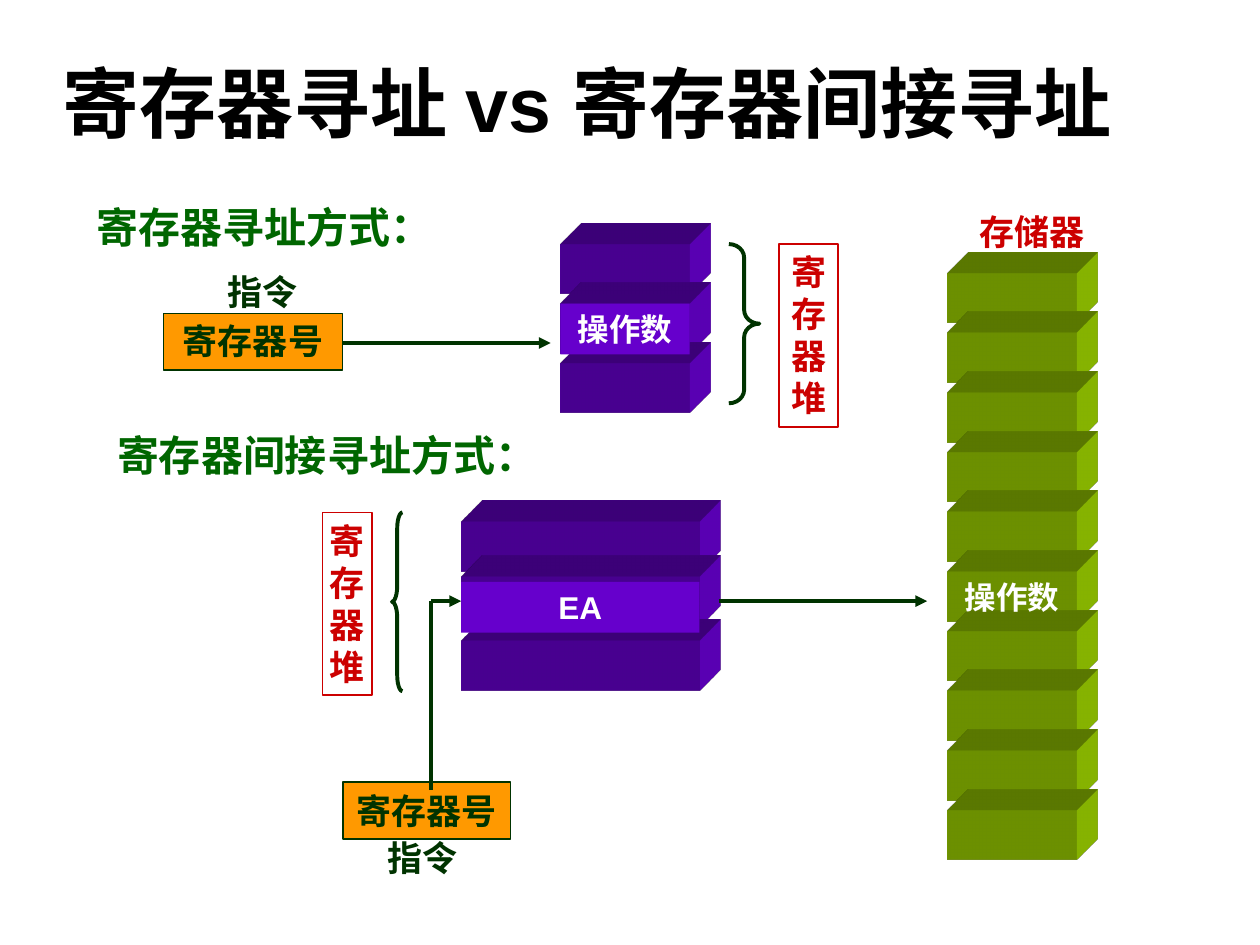
from dataclasses import dataclass

from lxml.etree import SubElement
from pptx import Presentation
from pptx.dml.color import RGBColor
from pptx.enum.shapes import MSO_CONNECTOR, MSO_SHAPE
from pptx.enum.text import MSO_ANCHOR, MSO_AUTO_SIZE, PP_ALIGN
from pptx.oxml.ns import qn
from pptx.util import Pt


@dataclass(frozen=True)
class Theme:
    font: str = "Arial"
    title_lead_font: str = "Times New Roman"
    title: str = "000000"
    ink: str = "003300"
    heading: str = "006600"
    accent: str = "CC0000"
    instruction: str = "FF9900"
    white: str = "FFFFFF"
    register: str = "6600CC"
    memory: str = "99CC00"
    title_size: int = 44
    title_lead_size: int = 42
    heading_size: int = 24
    label_size: int = 20
    cell_size: int = 18
    thin: float = 1
    thick: float = 2.25


THEME = Theme()
CELL_HEIGHT = 28.4
CELL_WIDTH = 73.8


def style_run(run, size, color, font=THEME.font):
    run.font.name = font
    run.font.size = Pt(size)
    run.font.bold = True
    run.font.color.rgb = RGBColor.from_string(color)


def style_shape(shape, fill=None, line=None, line_width=THEME.thin):
    shape.shadow.inherit = False
    if fill:
        shape.fill.solid()
        shape.fill.fore_color.rgb = RGBColor.from_string(fill)
    else:
        shape.fill.background()
    if line:
        shape.line.color.rgb = RGBColor.from_string(line)
        shape.line.width = Pt(line_width)
    else:
        shape.line.fill.background()


def add_box(slide, box, text="", size=THEME.label_size, color=THEME.ink, fill=None,
            line=None, align=PP_ALIGN.CENTER, anchor=MSO_ANCHOR.TOP, side_margin=7.2):
    lengths = [Pt(value) for value in box]
    if fill or line:
        shape = slide.shapes.add_shape(MSO_SHAPE.RECTANGLE, *lengths)
        style_shape(shape, fill, line)
    else:
        shape = slide.shapes.add_textbox(*lengths)
    frame = shape.text_frame
    frame.word_wrap = True
    frame.vertical_anchor = anchor
    frame.margin_left = frame.margin_right = Pt(side_margin)
    frame.text = text
    frame.paragraphs[0].alignment = align
    for run in frame.paragraphs[0].runs:
        style_run(run, size, color)


def add_line(slide, start, end, arrow=True):
    connector = slide.shapes.add_connector(
        MSO_CONNECTOR.STRAIGHT, *[Pt(value) for value in (*start, *end)])
    connector.line.color.rgb = RGBColor.from_string(THEME.ink)
    connector.line.width = Pt(THEME.thick)
    if arrow:
        SubElement(connector.line._get_or_add_ln(), qn("a:tailEnd"), type="triangle")
    SubElement(connector._element.spPr, qn("a:effectLst"))


def add_brace(slide, kind, box, curve):
    brace = slide.shapes.add_shape(kind, *[Pt(value) for value in box])
    style_shape(brace, line=THEME.ink, line_width=THEME.thick)
    brace.adjustments[0] = curve
    brace.adjustments[1] = 0.5


def extrude(shape, color):
    """Give a flat shape depth towards the top right."""
    properties = shape._element.spPr
    scene = SubElement(properties, qn("a:scene3d"))
    SubElement(scene, qn("a:camera"), prst="legacyObliqueTopRight")
    SubElement(scene, qn("a:lightRig"), rig="legacyFlat3", dir="b")
    solid = SubElement(properties, qn("a:sp3d"), extrusionH="430200",
                       prstMaterial="legacyMatte")
    for bevel in ("a:bevelT", "a:bevelB"):
        SubElement(solid, qn(bevel), w="13500", h="13500", prst="angle")
    side = SubElement(solid, qn("a:extrusionClr"))
    SubElement(side, qn("a:srgbClr"), val=color)


def add_stack(slide, left, tops, width, color):
    for top in tops:
        block = slide.shapes.add_shape(
            MSO_SHAPE.RECTANGLE, Pt(left), Pt(top), Pt(width), Pt(CELL_HEIGHT))
        style_shape(block, color)
        extrude(block, color)


def add_title(slide, box):
    title = slide.shapes.title
    title.left, title.top, title.width, title.height = [Pt(value) for value in box]
    frame = title.text_frame
    frame.word_wrap = True
    frame.auto_size = MSO_AUTO_SIZE.NONE
    frame.vertical_anchor = MSO_ANCHOR.MIDDLE
    paragraph = frame.paragraphs[0]
    paragraph.alignment = PP_ALIGN.CENTER
    lead, heading = paragraph.add_run(), paragraph.add_run()
    lead.text, heading.text = " ", "寄存器寻址 vs 寄存器间接寻址"
    style_run(lead, THEME.title_lead_size, THEME.title, THEME.title_lead_font)
    style_run(heading, THEME.title_size, THEME.title)


def add_direct_mode(slide, left, top):
    """Register addressing: the instruction points at the operand."""
    add_box(slide, (left + 45.5, top + 67.7, 102.2, 32.4), "寄存器号",
            fill=THEME.instruction, line=THEME.ink)
    add_box(slide, (left + 62.3, top + 39.6, 79, 31), "指令")
    # Register file
    stack_left, stack_top = left + 272.3, top + 28
    add_stack(slide, stack_left, [stack_top + 34 * row for row in range(3)],
              CELL_WIDTH, THEME.register)
    add_box(slide, (stack_left, stack_top + 34, CELL_WIDTH, 29), "操作数",
            THEME.cell_size, THEME.white, THEME.register)
    add_line(slide, (left + 147.5, top + 84.5), (left + 266.7, top + 84.5))
    add_box(slide, (left + 397, stack_top, 33.8, 104.4), "寄存器堆", color=THEME.accent,
            line=THEME.accent, align=PP_ALIGN.LEFT)
    add_brace(slide, MSO_SHAPE.RIGHT_BRACE, (left + 368.5, stack_top, 17.5, 91), 0.445)
    add_box(slide, (left, top, 215, 36), "寄存器寻址方式：",
            THEME.heading_size, THEME.heading, align=PP_ALIGN.LEFT)


def add_indirect_mode(slide, left, top):
    """Register indirect addressing: the register holds the operand's address."""
    add_brace(slide, MSO_SHAPE.LEFT_BRACE, (left + 164.2, top + 50.8, 6, 102.2), 1.511)
    # Instruction
    add_box(slide, (left + 136.2, top + 205, 95.8, 32.4), "寄存器号",
            fill=THEME.instruction, line=THEME.ink, anchor=MSO_ANCHOR.MIDDLE)
    add_box(slide, (left + 142, top + 232.3, 79, 31), "指令")
    # Register file
    stack_left = left + 203.7
    add_stack(slide, stack_left, [top + offset for offset in (56, 87.5, 124.3)],
              136.1, THEME.register)
    add_box(slide, (left + 124.5, top + 50.8, 28.1, 104.4), "寄存器堆",
            color=THEME.accent, line=THEME.accent, align=PP_ALIGN.LEFT,
            anchor=MSO_ANCHOR.MIDDLE, side_margin=3.8)
    add_box(slide, (stack_left, top + 90.5, 136.1, 29), "EA",
            THEME.cell_size, THEME.white, THEME.register)
    # Path from the instruction through the register to memory
    middle, turn = top + 101.5, left + 186.5
    add_line(slide, (left + 351, middle), (left + 470, middle))
    add_line(slide, (turn, top + 209.5), (turn, middle), arrow=False)
    add_line(slide, (turn, middle), (stack_left, middle))
    add_box(slide, (left, top, 261, 36), "寄存器间接寻址方式：",
            THEME.heading_size, THEME.heading, align=PP_ALIGN.LEFT)


def add_memory(slide, left, top):
    tops = [top + 34.08 * row for row in range(10)]
    add_stack(slide, left, tops, CELL_WIDTH, THEME.memory)
    add_box(slide, (left, tops[5], CELL_WIDTH, 29), "操作数",
            THEME.cell_size, THEME.white)
    add_box(slide, (left + 6, top - 39.6, 85, 31), "存储器", color=THEME.accent)


def main():
    presentation = Presentation()
    presentation.slide_width, presentation.slide_height = Pt(720), Pt(540)
    slide = presentation.slides.add_slide(presentation.slide_layouts[5])
    add_title(slide, (15.1, 22.3, 631.5, 72))
    add_direct_mode(slide, 48, 111.5)
    add_indirect_mode(slide, 59.8, 242)
    add_memory(slide, 541.3, 156.2)
    presentation.save("out.pptx")


if __name__ == "__main__":
    main()
